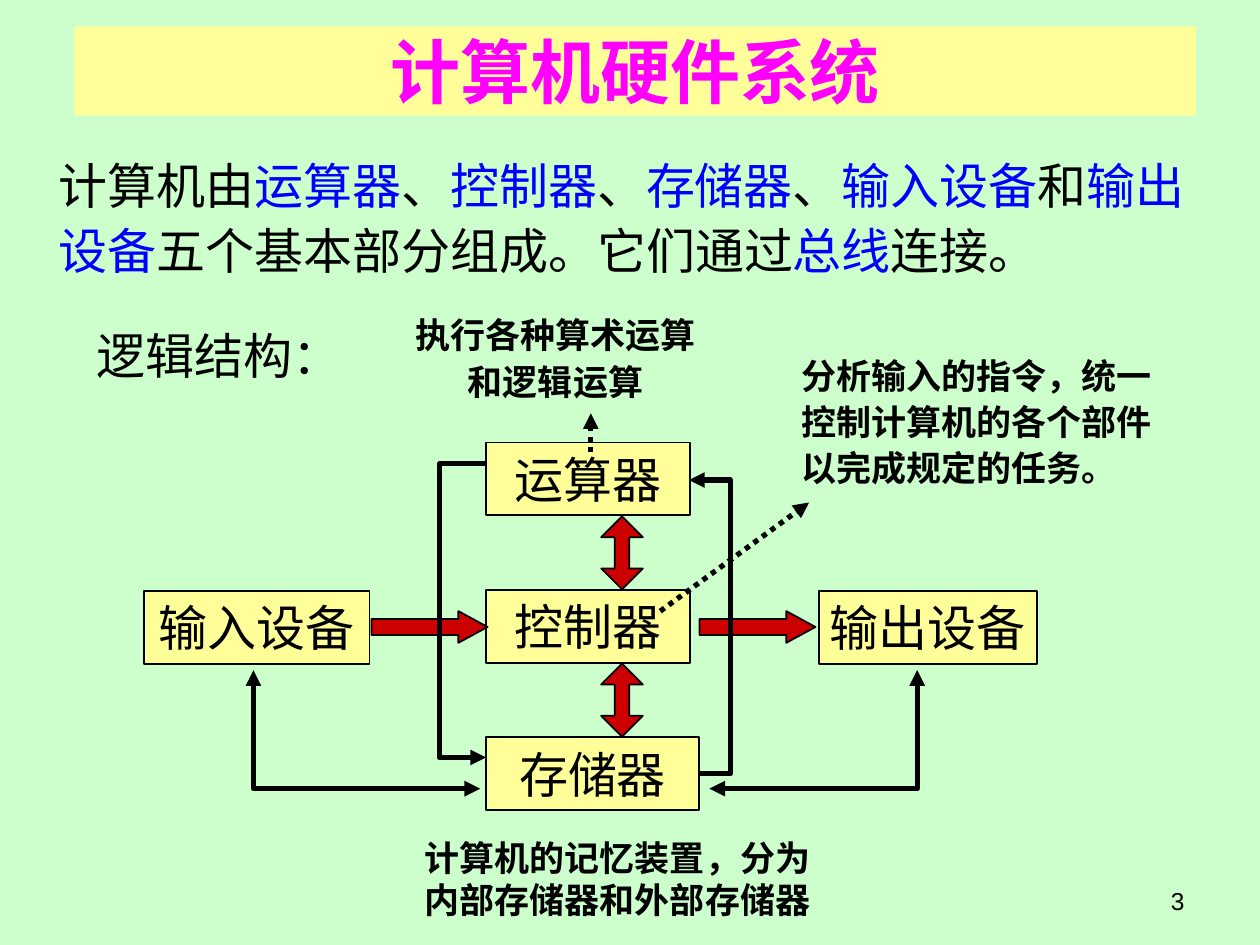
from lxml.etree import SubElement
from pptx import Presentation
from pptx.dml.color import RGBColor
from pptx.enum.dml import MSO_LINE
from pptx.enum.shapes import MSO_CONNECTOR as Link, MSO_SHAPE as Shape
from pptx.enum.text import MSO_ANCHOR as Anchor, MSO_AUTO_SIZE as AutoSize, PP_ALIGN as Align
from pptx.oxml.ns import qn
from pptx.util import Cm, Pt

MINT = RGBColor(0xCC, 0xFF, 0xCC)
CREAM = RGBColor(0xFF, 0xFF, 0x99)
RED = RGBColor(0xCC, 0x00, 0x00)
MAGENTA = RGBColor(0xFF, 0x00, 0xFF)
BLUE = RGBColor(0x00, 0x00, 0xFF)
BLACK = RGBColor(0x00, 0x00, 0x00)


class SlideBuilder:
    body_font = "Times New Roman"
    title_font = "Cambria"
    number_font = "Arial"

    def __init__(self, deck):
        self.page = deck.slides.add_slide(deck.slide_layouts[5])
        self.shapes = self.page.shapes
        self.page.background.fill.solid()
        self.page.background.fill.fore_color.rgb = MINT

    def style(self, span, size, color=BLACK, bold=False, font=body_font):
        span.font.size = Pt(size)
        span.font.name = font
        span.font.bold = bold
        span.font.color.rgb = color

    def title(self, text, left, top, width, height):
        box = self.shapes.title
        box.left, box.top, box.width, box.height = Cm(left), Cm(top), Cm(width), Cm(height)
        box.fill.solid()
        box.fill.fore_color.rgb = CREAM
        frame = box.text_frame
        frame.text = text
        frame.auto_size = AutoSize.NONE
        frame.vertical_anchor = Anchor.MIDDLE
        para = frame.paragraphs[0]
        para.alignment = Align.CENTER
        self.style(para.runs[0], 40, MAGENTA, True, self.title_font)

    def text(self, spans, left, top, width, height, size=20, bold=True,
             align=Align.LEFT, spacing=1.1, font=body_font):
        box = self.shapes.add_textbox(Cm(left), Cm(top), Cm(width), Cm(height))
        box.text_frame.word_wrap = True
        para = box.text_frame.paragraphs[0]
        para.alignment = align
        para.line_spacing = spacing
        for words, color in spans:
            span = para.add_run()
            span.text = words
            self.style(span, size, color, bold, font)

    def block(self, kind, fill, left, top, width, height):
        shape = self.shapes.add_shape(kind, Cm(left), Cm(top), Cm(width), Cm(height))
        shape.shadow.inherit = False
        shape.fill.solid()
        shape.fill.fore_color.rgb = fill
        shape.line.color.rgb = BLACK
        shape.line.width = Pt(1)
        return shape

    def unit(self, name, left, top, width):
        frame = self.block(Shape.RECTANGLE, CREAM, left, top, width, 1.47).text_frame
        frame.word_wrap = False
        frame.vertical_anchor = Anchor.MIDDLE
        frame.text = name
        para = frame.paragraphs[0]
        para.alignment = Align.CENTER
        self.style(para.runs[0], 28)

    def arrow(self, kind, left, top, width, height, head):
        shape = self.block(kind, RED, left, top, width, height)
        shape.adjustments[0] = 0.5
        shape.adjustments[1] = head

    def connector(self, kind, start, end, ends=("tailEnd",)):
        line = self.shapes.add_connector(kind, *map(Cm, start + end))
        line.line.color.rgb = BLACK
        line.line.width = Pt(3)
        if kind == Link.STRAIGHT:
            line.line.dash_style = MSO_LINE.ROUND_DOT
        properties = line._element.spPr
        outline = properties.find(qn("a:ln"))
        for name in ends:
            SubElement(outline, qn(f"a:{name}"), type="triangle")
        SubElement(properties, qn("a:effectLst"))
        return line

    def elbow(self, start, end, bend_x, ends=("tailEnd",)):
        line = self.connector(Link.ELBOW, start, end, ends)
        ratio = (bend_x - start[0]) / (end[0] - start[0])
        geometry = line._element.spPr.find(qn("a:prstGeom"))
        SubElement(geometry.find(qn("a:avLst")), qn("a:gd"),
                   name="adj1", fmla=f"val {round(ratio * 100000)}")


def main():
    deck = Presentation()
    deck.slide_width, deck.slide_height = Cm(25.4), Cm(19.05)
    slide = SlideBuilder(deck)
    slide.title("计算机硬件系统", 1.5, 0.53, 22.61, 1.8)

    step = 2.97
    for row, (name, width) in enumerate([("运算器", 4.11), ("控制器", 4.11), ("存储器", 4.29)]):
        slide.unit(name, 9.8, 8.92 + row * step, width)
    slide.unit("输出设备", 16.51, 11.91, 4.39)
    slide.unit("输入设备", 2.9, 11.91, 4.55)
    for left in (7.49, 14.1):
        slide.arrow(Shape.RIGHT_ARROW, left, 12.32, 2.34, 0.64, 0.92)
    for row in range(2):
        slide.arrow(Shape.UP_DOWN_ARROW, 12.12, 10.41 + row * step, 0.84, 1.47, 0.35)

    both = ("headEnd", "tailEnd")
    slide.elbow((5.11, 13.51), (9.68, 15.9), 5.11, both)
    slide.elbow((14.3, 15.9), (18.49, 13.51), 18.49, both)
    slide.elbow((9.78, 9.35), (9.8, 15.27), 8.86)
    slide.elbow((14.1, 15.6), (13.89, 9.68), 14.73)

    slide.text([("计算机由", BLACK), ("运算器", BLUE), ("、", BLACK), ("控制器", BLUE),
                ("、", BLACK), ("存储器", BLUE), ("、", BLACK), ("输入设备", BLUE),
                ("和", BLACK), ("输出设备", BLUE), ("五个基本部分组成。它们通过", BLACK),
                ("总线", BLUE), ("连接。", BLACK)],
               0.94, 2.9, 23.24, 2.9, size=28, bold=False)
    slide.text([("逻辑结构：", BLACK)], 1.7, 6.32, 6.4, 1.55, size=28, bold=False)
    slide.text([("分析输入的指令，统一控制计算机的各个部件以完成规定的任务。", BLACK)],
               15.9, 6.93, 8, 3.05)
    slide.connector(Link.STRAIGHT, (13.31, 12.32), (16.31, 10.13))
    slide.text([("执行各种算术运算和逻辑运算", BLACK)], 8.1, 6.12, 6.2, 2.11, align=Align.CENTER)
    slide.connector(Link.STRAIGHT, (11.91, 9.12), (11.91, 8.33))
    slide.text([("计算机的记忆装置，分为内部存储器和外部存储器", BLACK)],
               8.31, 16.74, 8.81, 1.96, spacing=1.0)
    slide.text([("3", BLACK)], 18.21, 17.73, 5.92, 0.94, size=14, bold=False,
               align=Align.RIGHT, spacing=1.0, font=slide.number_font)
    deck.save("out.pptx")


if __name__ == "__main__":
    main()
